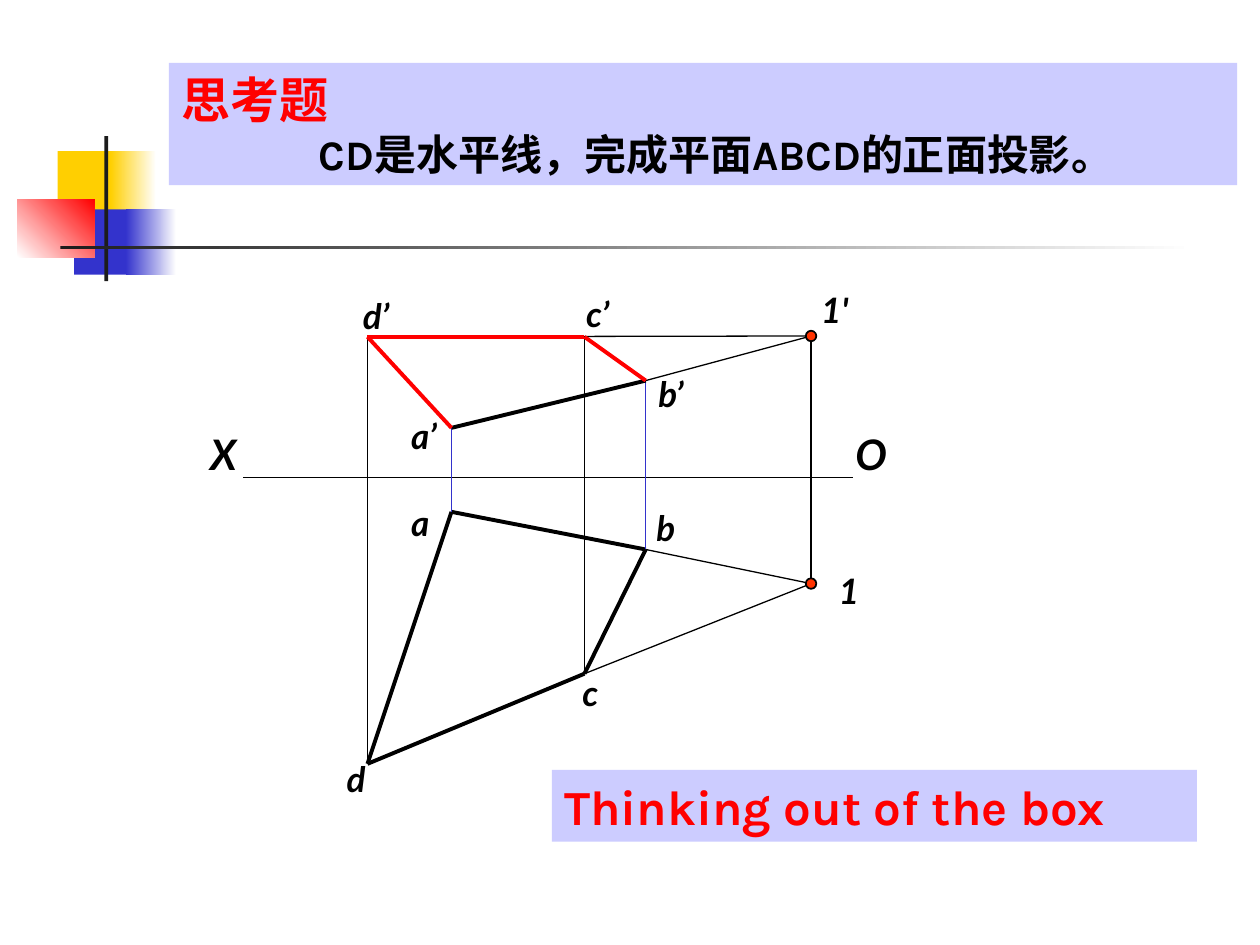
"""Build a slide that poses a descriptive geometry question."""
from lxml import etree
from pptx import Presentation
from pptx.dml.color import RGBColor
from pptx.enum.shapes import MSO_CONNECTOR, MSO_SHAPE
from pptx.enum.text import MSO_ANCHOR, PP_ALIGN
from pptx.oxml.ns import qn
from pptx.util import Pt

RECTANGLE = MSO_SHAPE.RECTANGLE
DOT = MSO_SHAPE.FLOWCHART_CONNECTOR
STRAIGHT = MSO_CONNECTOR.STRAIGHT
MIDDLE = MSO_ANCHOR.MIDDLE
CENTER = PP_ALIGN.CENTER
LEFT = PP_ALIGN.LEFT

COLORS = {
    "yellow": "FFCF01", "blue": "3333CC", "red": "FF0000", "white": "FFFFFF",
    "charcoal": "1C1C1C", "lavender": "CCCCFF", "black": "000000", "dot": "FF3300",
}
THIN, THICK = 0.75, 2.25

VERTICES = {
    "a’": (145, 83.5), "b’": (256, 56.5), "c’": (221, 31.5), "d’": (97, 31.5),
    "1'": (350.5, 31), "a": (145, 131.5), "b": (256, 153), "c": (221, 224),
    "d": (97, 275.5), "1": (350.5, 172.5), "X": (26, 112), "O": (374.5, 112),
}
EDGES = [
    ("black", THIN, ["X O", "b 1", "b’ 1'", "c 1", "1' d’", "1' 1"]),
    ("black", THICK, ["a b", "b c", "c d", "a d"]),
    ("blue", THIN, ["a a’", "b b’"]),
    ("black", THICK, ["a’ b’"]),
    ("black", THIN, ["d d’", "c c’"]),
    ("red", THICK, ["d’ a’", "c’ b’", "c’ d’"]),
]
LABELS = [
    ("X", 0, 80.2, 28.8, 24), ("O", 368.7, 80.2, 27.4, 24),
    ("1'", 322.6, 0.3, 82.8, 20), ("1", 355.7, 160.8, 33, 20),
    ("a", 107.3, 122, 39.6, 20), ("b", 247.7, 124.8, 39.6, 20),
    ("c", 204.5, 219.2, 39.6, 20), ("d", 70.6, 268.1, 39.6, 20),
    ("a’", 109.5, 72.3, 39.6, 20), ("b’", 250.6, 48.5, 39.6, 20),
    ("c’", 208.8, 2.4, 39.6, 20), ("d’", 82.1, 3.9, 39.6, 20),
]


def color(name):
    """Return the named colour."""
    return RGBColor.from_string(COLORS[name])


def add_block(slide, box, start, end=None, angle=0, preset=RECTANGLE):
    """Add an unlined shape with a plain fill or a two-colour gradient."""
    shape = slide.shapes.add_shape(preset, *map(Pt, box))
    shape.shadow.inherit = False
    shape.line.fill.background()
    if end is None:
        shape.fill.solid()
        shape.fill.fore_color.rgb = color(start)
    else:
        shape.fill.gradient()
        shape.fill.gradient_angle = angle
        for stop, name, position in zip(shape.fill.gradient_stops, (start, end), (0, 1)):
            stop.color.rgb = color(name)
            stop.position = position
    return shape


def add_line(slide, start, end, color_name, width):
    """Add a straight line between two points."""
    line = slide.shapes.add_connector(STRAIGHT, *map(Pt, (*start, *end)))
    line.line.color.rgb = color(color_name)
    line.line.width = Pt(width)
    etree.SubElement(line._element.spPr, qn("a:effectLst"))


def format_paragraph(paragraph, size, font, color_name, align=LEFT, italic=None):
    """Set the alignment and bold lettering of a paragraph."""
    paragraph.alignment = align
    for run in paragraph.runs:
        run.font.name = font
        run.font.size = Pt(size)
        run.font.bold = True
        run.font.italic = italic
        run.font.color.rgb = color(color_name)


def add_ornament(slide, left, top):
    """Add the coloured squares and the crossing bars."""
    blocks = [
        ((23, 8.6, 34.6, 37.4), "yellow", None, 0),
        ((53.3, 8.6, 25.9, 37.4), "yellow", "white", 0),
        ((32.4, 41.8, 33.1, 37.4), "blue", None, 0),
        ((62, 41.8, 28.8, 37.4), "blue", "white", 0),
        ((0, 36, 44, 33.1), "white", "red", 45),
        ((49.7, 0, 2.2, 82.8), "charcoal", None, 0),
        ((24.5, 62.6, 648, 2.2), "charcoal", "white", 0),
    ]
    for (x, y, width, height), start, end, angle in blocks:
        add_block(slide, (left + x, top + y, width, height), start, end, angle)


def add_banner(slide, box, lines):
    """Add a lavender banner with one paragraph for each line."""
    text_frame = add_block(slide, box, "lavender").text_frame
    text_frame.word_wrap = True
    text_frame.vertical_anchor = MIDDLE
    text_frame.text = "\n".join(text for text, *_ in lines)
    for paragraph, (_, size, color_name, indent) in zip(text_frame.paragraphs, lines):
        format_paragraph(paragraph, size, "Karla", color_name)
        if indent:
            paragraph._p.get_or_add_pPr().set("indent", str(Pt(indent)))


def add_label(slide, box, text, size):
    """Add the bold italic name of a point or an axis end."""
    text_frame = slide.shapes.add_textbox(*map(Pt, box)).text_frame
    text_frame.word_wrap = size == 20
    text_frame.vertical_anchor = MIDDLE
    text_frame.text = text
    format_paragraph(text_frame.paragraphs[0], size, "Lato", "black", CENTER, True)


def add_projection(slide, left, top):
    """Add the two projections of the plane with their axis and labels."""
    points = {name: (left + x, top + y) for name, (x, y) in VERTICES.items()}
    for color_name, width, pairs in EDGES:
        for pair in pairs:
            start, end = pair.split()
            add_line(slide, points[start], points[end], color_name, width)
    for name in ("1'", "1"):
        x, y = points[name]
        dot = add_block(slide, (x - 3, y - 3, 6, 6), "dot", preset=DOT)
        dot.line.color.rgb = color("black")
        dot.line.width = Pt(1)
    for text, x, y, width, size in LABELS:
        height = 36 if size == 24 else 31
        add_label(slide, (left + x, top + y, width, height), text, size)


def main():
    """Build and save the slide."""
    presentation = Presentation()
    presentation.slide_width, presentation.slide_height = Pt(720), Pt(540)
    slide = presentation.slides.add_slide(presentation.slide_layouts[6])
    add_ornament(slide, 10, 77.8)
    add_banner(slide, (96.5, 36, 610.5, 69.8), [
        ("思考题", 28, "red", 0),
        ("CD是水平线，完成平面ABCD的正面投影。", 24, "black", 78.5),
    ])
    add_projection(slide, 113, 161)
    add_banner(slide, (315.4, 440, 368.6, 41), [("Thinking out of the box", 28, "red", 0)])
    presentation.save("out.pptx")


if __name__ == "__main__":
    main()
